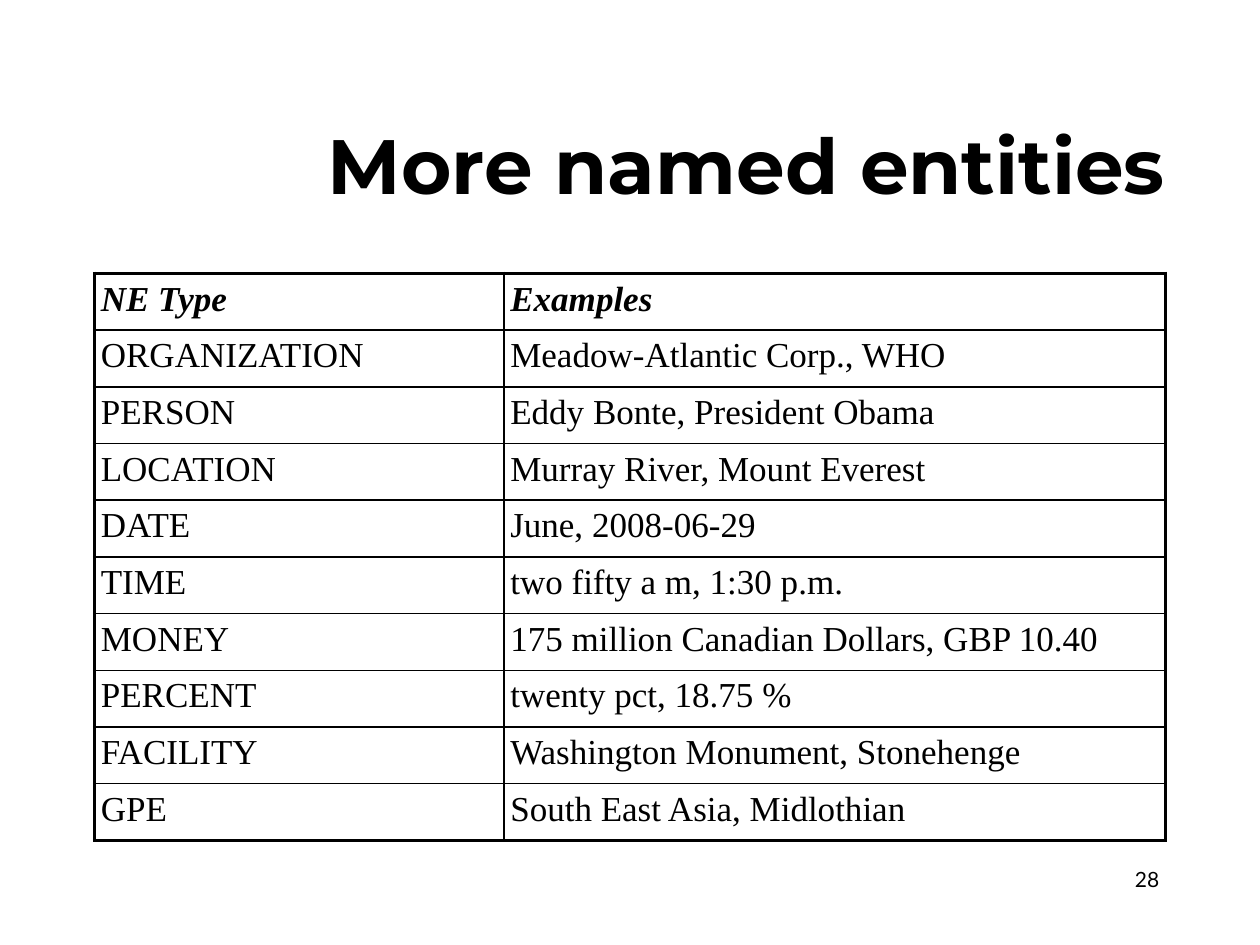
from dataclasses import dataclass

from lxml import etree
from pptx import Presentation
from pptx.dml.color import RGBColor
from pptx.enum.text import MSO_ANCHOR, PP_ALIGN
from pptx.oxml.ns import qn
from pptx.util import Inches, Pt

LEFT, RIGHT = PP_ALIGN.LEFT, PP_ALIGN.RIGHT
TOP, MIDDLE = MSO_ANCHOR.TOP, MSO_ANCHOR.MIDDLE


@dataclass(frozen=True)
class Theme:
    ink: str = "000000"
    title_size: int = 44
    table_size: int = 20
    number_size: int = 12
    outer_line: float = 2.25
    inner_line: float = 1


theme = Theme()


def write(frame, text, align=LEFT, space_before=0, **font_format):
    """Put one formatted line of text into a text frame."""
    para = frame.paragraphs[0]
    para.alignment = align
    para.space_before = Pt(space_before)
    span = para.add_run()
    span.text = text
    for name, value in font_format.items():
        setattr(span.font, name, value)
    span.font.color.rgb = RGBColor.from_string(theme.ink)


def add_border(cell, side, points):
    line = etree.SubElement(cell._tc.get_or_add_tcPr(), qn(f"a:ln{side}"), w=str(Pt(points)))
    fill = etree.SubElement(line, qn("a:solidFill"))
    etree.SubElement(fill, qn("a:srgbClr"), val=theme.ink)


deck = Presentation()
deck.slide_width, deck.slide_height = Inches(10), Inches(7.5)
page = deck.slides.add_slide(deck.slide_layouts[6])

# Title and page number
labels = [
    ("More named entities", (0.75, 0.67, 8.5, 1.25), 0, MIDDLE,
     {"name": "Montserrat", "size": Pt(theme.title_size), "bold": True}),
    ("28", (7.17, 6.83, 2.08, 0.29), 0.05, TOP,
     {"name": "Lato", "size": Pt(theme.number_size)}),
]
for text, place, inset, anchor, font_format in labels:
    frame = page.shapes.add_textbox(*map(Inches, place)).text_frame
    frame.word_wrap = True
    frame.vertical_anchor = anchor
    for side in ("left", "right", "top", "bottom"):
        setattr(frame, f"margin_{side}", Inches(inset))
    write(frame, text, RIGHT, **font_format)

# Table of entity types
entities = [
    ("NE Type", "Examples"),
    ("ORGANIZATION", "Meadow-Atlantic Corp., WHO"),
    ("PERSON", "Eddy Bonte, President Obama"),
    ("LOCATION", "Murray River, Mount Everest"),
    ("DATE", "June, 2008-06-29"),
    ("TIME", "two fifty a m, 1:30 p.m."),
    ("MONEY", "175 million Canadian Dollars, GBP 10.40"),
    ("PERCENT", "twenty pct, 18.75 %"),
    ("FACILITY", "Washington Monument, Stonehenge"),
    ("GPE", "South East Asia, Midlothian"),
]
column_widths = [3.25, 5.25]
row_height = 0.45
last_row, last_column = len(entities) - 1, len(column_widths) - 1

table = page.shapes.add_table(
    len(entities), len(column_widths), Inches(0.75), Inches(2.17),
    Inches(sum(column_widths)), Inches(row_height * len(entities))).table
table.first_row = table.horz_banding = False
for column, width in zip(table.columns, column_widths):
    column.width = Inches(width)

for row_index, entity in enumerate(entities):
    table.rows[row_index].height = Inches(row_height)
    is_header = row_index == 0
    for column_index, text in enumerate(entity):
        cell = table.cell(row_index, column_index)
        outer_sides = {
            "L": column_index == 0,
            "R": column_index == last_column,
            "T": is_header,
            "B": row_index == last_row,
        }
        for side, is_outer in outer_sides.items():
            add_border(cell, side, theme.outer_line if is_outer else theme.inner_line)
        cell.fill.background()
        for side in ("left", "right", "top", "bottom"):
            setattr(cell, f"margin_{side}", Inches(0.05))
        write(cell.text_frame, text, space_before=4, name="Times New Roman",
              size=Pt(theme.table_size), bold=is_header, italic=is_header)

deck.save("out.pptx")
